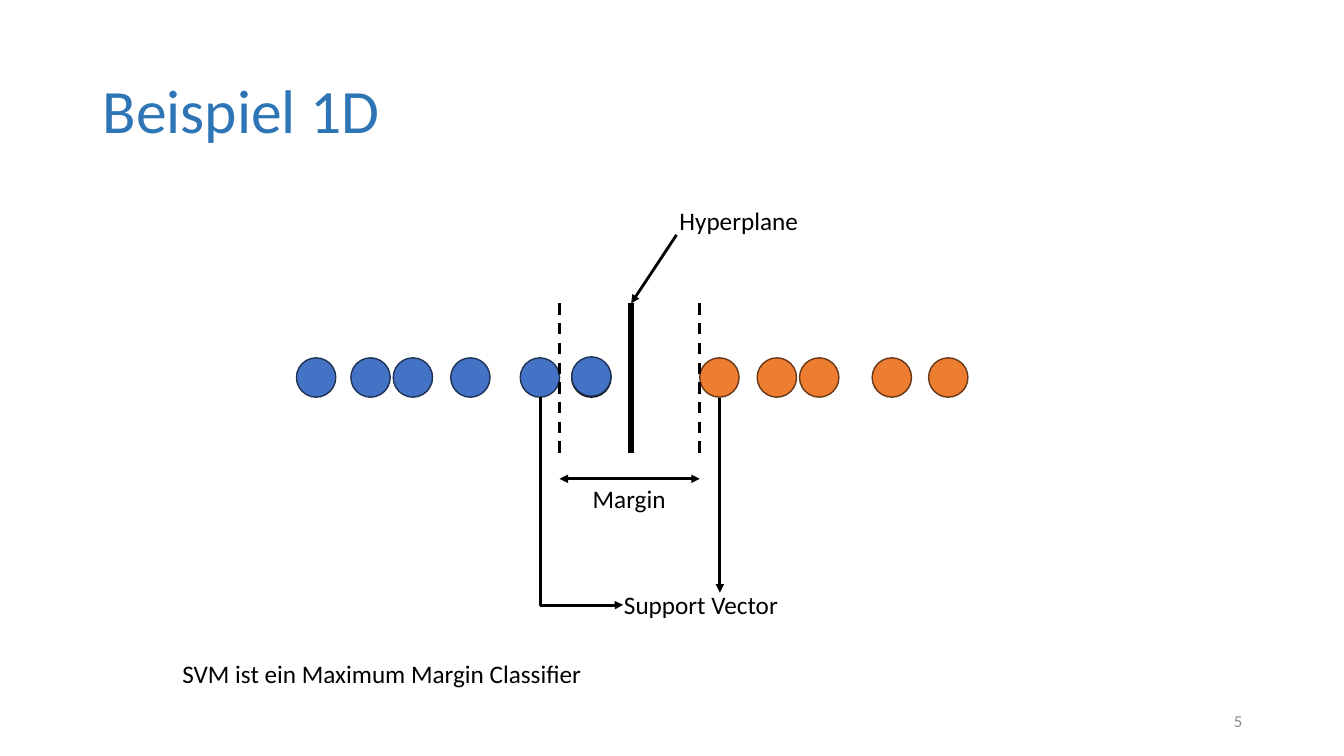
"""Build the slide that explains a maximum margin classifier in one dimension."""
from dataclasses import dataclass

import lxml.etree
import pptx
import pptx.dml.color
import pptx.enum.dml
import pptx.enum.shapes
import pptx.enum.text
import pptx.oxml.ns
import pptx.shapes.connector
import pptx.slide
import pptx.util
from pptx.dml.color import RGBColor
from pptx.enum.shapes import MSO_CONNECTOR, MSO_SHAPE
from pptx.enum.text import MSO_ANCHOR, MSO_AUTO_SIZE, PP_ALIGN
from pptx.util import Inches

BLACK = RGBColor(0x00, 0x00, 0x00)
WHITE = RGBColor(0xFF, 0xFF, 0xFF)
GRAY = RGBColor(0x8C, 0x8C, 0x8C)
TITLE_BLUE = RGBColor(0x2E, 0x75, 0xB6)
BLUE = RGBColor(0x44, 0x72, 0xC4)
DARK_BLUE = RGBColor(0x1E, 0x32, 0x56)
ORANGE = RGBColor(0xED, 0x7D, 0x31)
DARK_ORANGE = RGBColor(0x68, 0x37, 0x15)

FONT = "Calibri"
DOT_SIZE = 0.39
DOT_TOP = 3.55
LINE_TOP = 3.01
LINE_BOTTOM = 4.49
MARGIN_LEFT = 5.55
MARGIN_RIGHT = 6.94
HYPERPLANE_X = 6.26
MARGIN_Y = 4.75


@dataclass(frozen=True)
class Dot:
    left: float
    fill: RGBColor
    outline: RGBColor
    top: float = DOT_TOP


@dataclass(frozen=True)
class Line:
    begin: tuple[float, float]
    end: tuple[float, float]
    width: float = 2
    dashed: bool = False
    arrows: tuple[str, ...] = ()


@dataclass(frozen=True)
class Label:
    text: str
    left: float
    top: float
    width: float
    height: float = 0.4
    size: float = 18
    color: RGBColor = BLACK
    anchor: MSO_ANCHOR = MSO_ANCHOR.TOP
    align: PP_ALIGN = PP_ALIGN.LEFT
    spacing: float = 1.0
    grows: bool = True


CLASS_DOTS = [
    *(Dot(left, BLUE, DARK_BLUE) for left in (3.9, 4.47, 5.16, 3.48, 2.94)),
    *(Dot(left, ORANGE, DARK_ORANGE) for left in (6.94, 7.51, 7.93, 8.65, 9.21)),
]
OUTLIER_DOTS = [
    Dot(5.67, WHITE, BLACK),
    Dot(5.67, BLUE, DARK_BLUE, top=3.54),
]
BOUNDARIES = [
    Line((HYPERPLANE_X, LINE_TOP), (HYPERPLANE_X, LINE_BOTTOM), width=4),
    *(Line((x, LINE_TOP), (x, LINE_BOTTOM), dashed=True)
      for x in (MARGIN_RIGHT, MARGIN_LEFT)),
]
ARROWS = [
    Line((MARGIN_LEFT, MARGIN_Y), (MARGIN_RIGHT, MARGIN_Y),
         arrows=("a:headEnd", "a:tailEnd")),
    Line((6.71, 2.33), (HYPERPLANE_X, LINE_TOP), arrows=("a:tailEnd",)),
    Line((7.14, 3.95), (7.14, 5.88), arrows=("a:tailEnd",)),
]
ELBOW = Line((6.8, 4.56), (4.74, 5.38), arrows=("a:tailEnd",))
LABELS = [
    Label("Beispiel 1D", 0.92, 0.4, 11.5, 1.45, size=44, color=TITLE_BLUE,
          anchor=MSO_ANCHOR.MIDDLE, spacing=0.9, grows=False),
    Label("5", 9.42, 6.95, 3, size=12, color=GRAY,
          anchor=MSO_ANCHOR.MIDDLE, align=PP_ALIGN.RIGHT, grows=False),
    Label("Margin", 5.78, MARGIN_Y, 0.93),
    Label("Hyperplane", 6.64, 1.99, 1.39),
    Label("Support Vector", 6.09, 5.8, 1.75),
    Label("SVM ist ein Maximum Margin Classifier", 1.71, 6.48, 4.2),
]


def draw_dot(page: pptx.slide.Slide, dot: Dot) -> None:
    """Draw one data point."""
    shape = page.shapes.add_shape(
        MSO_SHAPE.OVAL, Inches(dot.left), Inches(dot.top),
        Inches(DOT_SIZE), Inches(DOT_SIZE))
    shape.shadow.inherit = False
    shape.fill.solid()
    shape.fill.fore_color.rgb = dot.fill
    shape.line.color.rgb = dot.outline
    shape.line.width = pptx.util.Pt(1)


def draw_line(page: pptx.slide.Slide, line: Line,
              kind: MSO_CONNECTOR = MSO_CONNECTOR.STRAIGHT,
              ) -> pptx.shapes.connector.Connector:
    """Draw a black connector with its dashes and arrowheads."""
    connector = page.shapes.add_connector(
        kind, *(Inches(value) for value in line.begin + line.end))
    connector.line.color.rgb = BLACK
    connector.line.width = pptx.util.Pt(line.width)
    if line.dashed:
        connector.line.dash_style = pptx.enum.dml.MSO_LINE.DASH
    qn = pptx.oxml.ns.qn
    properties = connector.element.spPr
    outline = properties.find(qn("a:ln"))
    for arrow in line.arrows:
        lxml.etree.SubElement(outline, qn(arrow), type="triangle")
    lxml.etree.SubElement(properties, qn("a:effectLst"))
    return connector


def draw_elbow(page: pptx.slide.Slide, line: Line) -> None:
    """Draw the elbow turned upright, with its bend at the far end."""
    qn = pptx.oxml.ns.qn
    properties = draw_line(page, line, MSO_CONNECTOR.ELBOW).element.spPr
    properties.find(qn("a:xfrm")).set("rot", str(270 * 60000))
    geometry = properties.find(qn("a:prstGeom"))
    adjustments = geometry.find(qn("a:avLst"))
    lxml.etree.SubElement(adjustments, qn("a:gd"), name="adj1", fmla="val 100200")


def draw_label(page: pptx.slide.Slide, label: Label) -> None:
    """Draw one line of text."""
    box = page.shapes.add_textbox(
        Inches(label.left), Inches(label.top),
        Inches(label.width), Inches(label.height))
    frame = box.text_frame
    frame.word_wrap = not label.grows
    frame.auto_size = (
        MSO_AUTO_SIZE.SHAPE_TO_FIT_TEXT if label.grows else MSO_AUTO_SIZE.NONE)
    frame.vertical_anchor = label.anchor
    para = frame.paragraphs[0]
    para.text = label.text
    para.alignment = label.align
    para.line_spacing = label.spacing
    para.font.name = FONT
    para.font.size = pptx.util.Pt(label.size)
    para.font.color.rgb = label.color


def main() -> None:
    """Build and save the deck."""
    deck = pptx.Presentation()
    deck.slide_width = Inches(13.33)
    deck.slide_height = Inches(7.5)
    page = deck.slides.add_slide(deck.slide_layouts[6])
    for dot in CLASS_DOTS:
        draw_dot(page, dot)
    for line in BOUNDARIES:
        draw_line(page, line)
    for dot in OUTLIER_DOTS:
        draw_dot(page, dot)
    for line in ARROWS:
        draw_line(page, line)
    draw_elbow(page, ELBOW)
    for label in LABELS:
        draw_label(page, label)
    deck.save("out.pptx")


if __name__ == "__main__":
    main()
